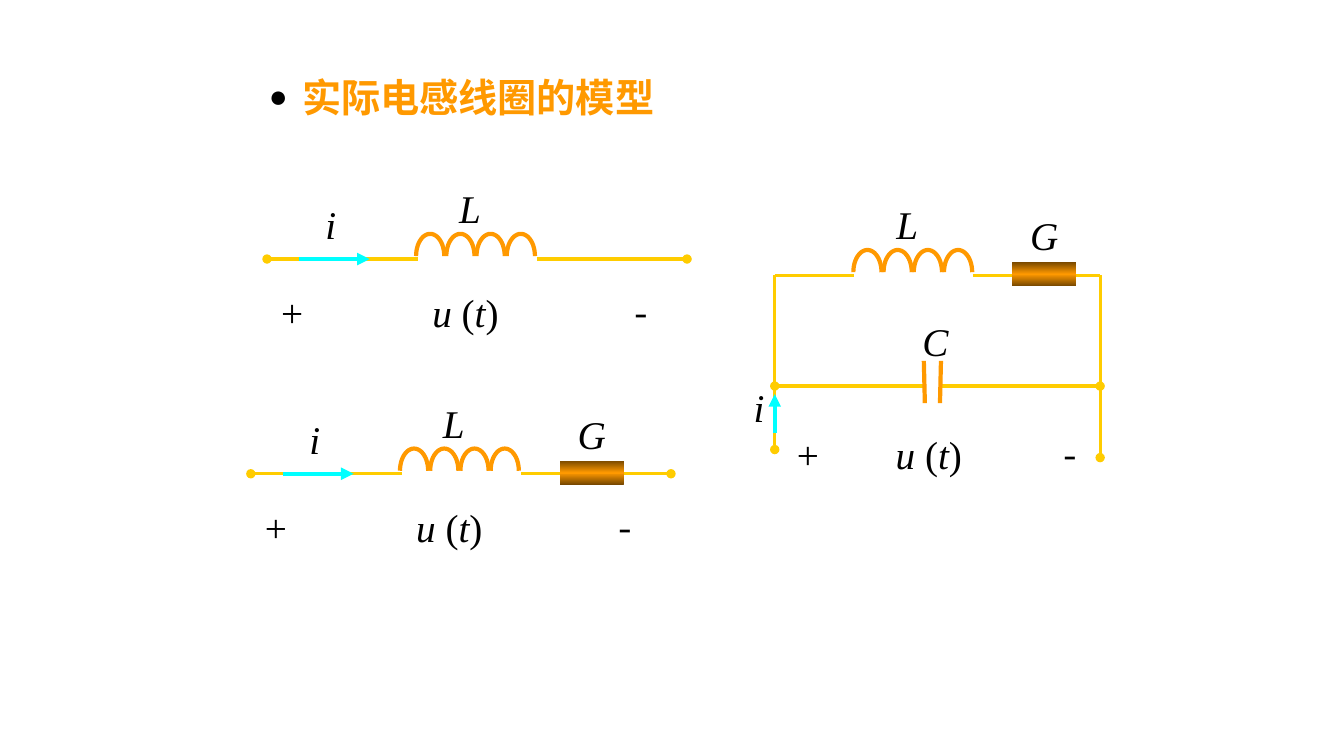
from copy import deepcopy
from math import cos, pi, sin

from pptx import Presentation
from pptx.dml.color import RGBColor
from pptx.enum.shapes import MSO_CONNECTOR, MSO_SHAPE
from pptx.enum.text import MSO_AUTO_SIZE, PP_ALIGN
from pptx.oxml.ns import qn
from pptx.oxml.xmlchemy import OxmlElement
from pptx.util import Inches, Pt

COLORS = {"text": "000000", "part": "FF9900", "edge": "764700",
          "wire": "FFCC00", "current": "00FFFF"}
SERIF, SANS = "Times New Roman", "Noto Sans CJK SC"
TITLE = "实际电感线圈的模型"
VOLTAGE = [("u ", True), ("(", False), ("t", True), (")", False)]
PLUS, MINUS, CURRENT = [("+", False)], [("-", False)], [("i", True)]
LABEL_HEIGHT = 0.57
TURNS, TURN_STEP, TURN_WIDTH, TURN_HEIGHT = 4, 0.3, 0.28, 0.22

# Labels: runs, left, top, width.  Wires: start, end, end that carries a dot.
# Coils and conductors: left end and height of the wire they sit on.


def series_circuit(left, level, conductors):
    return {
        "labels": [(PLUS, left - 0.08, level + 0.24, 0.66),
                   (MINUS, left + 3.39, level + 0.24, 0.66),
                   (VOLTAGE, left + 1.39, level + 0.24, 1.16),
                   (CURRENT, left + 0.32, level - 0.63, 0.63)],
        "wires": [((left, level), (left + 1.5, level), "headEnd"),
                  ((left + 2.68, level), (left + 4.17, level), "tailEnd")],
        "arrow": ((left + 0.32, level), (left + 1.02, level)),
        "coil": (left + 1.48, level),
        "conductors": conductors,
        "plates": [],
    }


CIRCUITS = [
    series_circuit(2.65, 2.57, []),
    series_circuit(2.49, 4.7, [(5.56, 4.7)]),
    {
        "labels": [(PLUS, 7.69, 4.22, 0.66), (MINUS, 10.29, 4.22, 0.66),
                   (VOLTAGE, 8.64, 4.22, 1.16), (CURRENT, 7.22, 3.75, 0.63),
                   ([("C", True)], 9.03, 3.1, 0.51)],
        "wires": [((7.69, 4.46), (7.69, 2.73), "headEnd"),
                  ((7.69, 2.73), (8.48, 2.73), None),
                  ((9.66, 2.73), (10.92, 2.73), None),
                  ((10.92, 4.54), (10.92, 2.73), "headEnd"),
                  ((7.69, 3.83), (9.19, 3.83), "headEnd"),
                  ((9.35, 3.83), (10.92, 3.83), "tailEnd")],
        "arrow": ((7.69, 4.3), (7.69, 3.91)),
        "coil": (8.47, 2.73),
        "conductors": [(10.05, 2.73)],
        "plates": [((9.17, 3.58), (9.18, 4)), ((9.34, 3.58), (9.33, 4))],
    },
]


def rgb(name):
    return RGBColor.from_string(COLORS[name])


def add_text(shapes, runs, left, top, width, color="text", font=SERIF,
             bold=False, align=PP_ALIGN.CENTER):
    box = shapes.add_textbox(*map(Inches, (left, top, width, LABEL_HEIGHT)))
    box.text_frame.word_wrap = True
    box.text_frame.auto_size = MSO_AUTO_SIZE.SHAPE_TO_FIT_TEXT
    para = box.text_frame.paragraphs[0]
    para.alignment = align
    for text, italic in runs:
        span = para.add_run()
        span.text = text
        span.font.size, span.font.name = Pt(28), font
        span.font.bold, span.font.italic = bold, italic
        span.font.color.rgb = rgb(color)
    return para


def add_bullet(para, indent):
    properties = para._p.get_or_add_pPr()
    properties.set("marL", str(Inches(indent)))
    properties.set("indent", str(-Inches(indent)))
    color = OxmlElement("a:buClr")
    shade = OxmlElement("a:srgbClr")
    shade.set("val", COLORS["text"])
    color.append(shade)
    properties.append(color)
    for tag, key, value in [("a:buSzPct", "val", "80000"),
                            ("a:buFont", "typeface", SERIF),
                            ("a:buChar", "char", "●")]:
        item = OxmlElement(tag)
        item.set(key, value)
        properties.append(item)


def add_line(shapes, start, end, color, width, end_tag=None, end_type="oval"):
    line = shapes.add_connector(MSO_CONNECTOR.STRAIGHT,
                                *map(Inches, (*start, *end)))
    line.line.color.rgb = rgb(color)
    line.line.width = Pt(width)
    if end_tag:
        mark = OxmlElement(f"a:{end_tag}")
        mark.set("type", end_type)
        line.line._get_or_add_ln().append(mark)
    line._element.spPr.append(OxmlElement("a:effectLst"))


def add_coil(shapes, left, level):
    """Draw a row of half-ellipse turns just above the wire, with its L."""
    for turn in range(TURNS):
        middle = left + turn * TURN_STEP + TURN_WIDTH / 2
        points = [(Inches(middle - TURN_WIDTH / 2 * cos(step * pi / 24)),
                   Inches(level - 0.03 - TURN_HEIGHT * sin(step * pi / 24)))
                  for step in range(25)]
        builder = shapes.build_freeform(*points[0])
        builder.add_line_segments(points[1:], close=False)
        arc = builder.convert_to_shape()
        arc.shadow.inherit = False
        arc.fill.background()
        arc.line.color.rgb = rgb("part")
        arc.line.width = Pt(3)
    add_text(shapes, [("L", True)], left + 0.1, level - 0.79, 0.87)


def add_conductor(shapes, left, level):
    body = shapes.add_shape(MSO_SHAPE.RECTANGLE,
                            *map(Inches, (left, level - 0.13, 0.63, 0.24)))
    body.shadow.inherit = False
    body.line.fill.background()
    body.fill.gradient()
    body.fill.gradient_angle = 90
    stop_list = body._element.spPr.find(".//" + qn("a:gsLst"))
    stop_list.append(deepcopy(stop_list[0]))
    for stop, position, color in zip(body.fill.gradient_stops, (0, 0.5, 1),
                                     ("edge", "part", "edge")):
        stop.position = position
        stop.color.rgb = rgb(color)
    add_text(shapes, [("G", True)], left, level - 0.68, 0.63)


def add_circuit(page, circuit):
    shapes = page.shapes.add_group_shape().shapes
    for runs, left, top, width in circuit["labels"]:
        add_text(shapes, runs, left, top, width,
                 font=SANS if runs is MINUS else SERIF)
    add_coil(shapes, *circuit["coil"])
    for start, end, dot in circuit["wires"]:
        add_line(shapes, start, end, "wire", 2.25, dot)
    add_line(shapes, *circuit["arrow"], "current", 3, "tailEnd", "triangle")
    for place in circuit["conductors"]:
        add_conductor(shapes, *place)
    for start, end in circuit["plates"]:
        add_line(shapes, start, end, "part", 3)


def main():
    deck = Presentation()
    deck.slide_width, deck.slide_height = Inches(13.34), Inches(7.5)
    page = deck.slides.add_slide(deck.slide_layouts[6])
    title = add_text(page.shapes, [(TITLE, False)], 2.57, 0.68, 4.41,
                     color="part", bold=True, align=PP_ALIGN.LEFT)
    add_bullet(title, 0.33)
    for circuit in CIRCUITS:
        add_circuit(page, circuit)
    deck.save("out.pptx")


if __name__ == "__main__":
    main()
